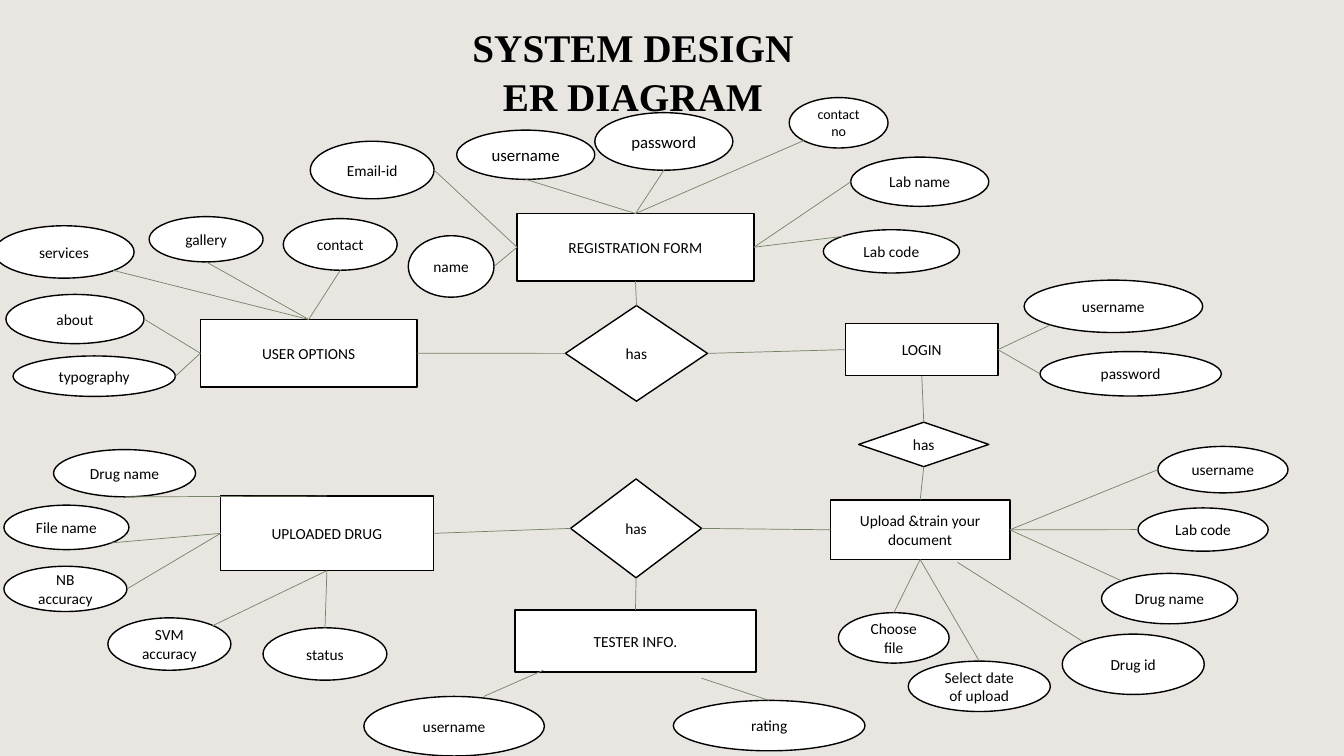
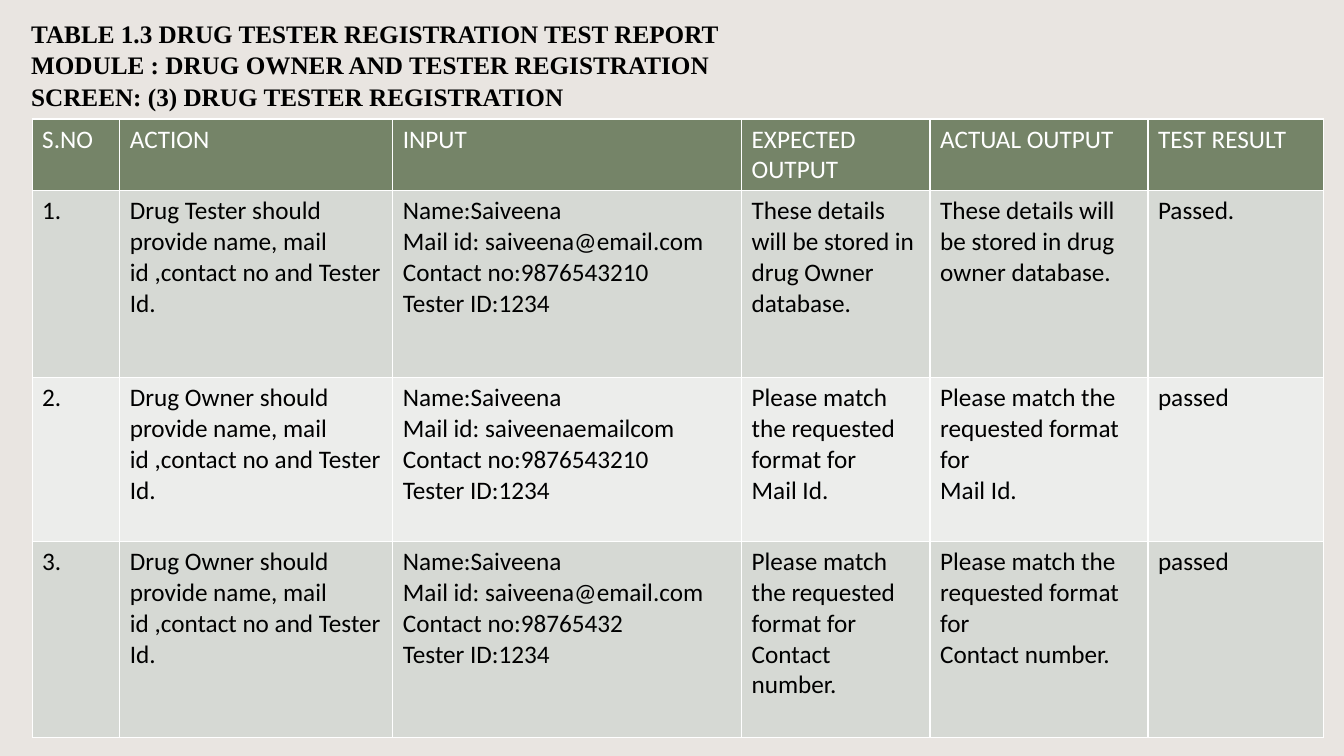
from lxml import etree
from pptx import Presentation, util as u
from pptx.dml.color import RGBColor
from pptx.enum import shapes, text
from pptx.oxml.ns import qn

TITLE_FONT, BODY_FONT = "Times New Roman", "Calibri"
PAPER, WHITE, BLACK, GREEN = "E9E5E1", "FFFFFF", "000000", "758468"
BANDS = ("D6D9D4", "ECEDEB")

RECT = shapes.MSO_SHAPE.RECTANGLE
OVAL = shapes.MSO_SHAPE.OVAL
DIAMOND = shapes.MSO_SHAPE.DIAMOND

# Connection sites as fractions of a shape's width and height
SITES = {
    "top": (0.5, 0), "left": (0, 0.5), "bottom": (0.5, 1), "right": (1, 0.5),
    "top left": (0.15, 0.15), "top right": (0.85, 0.15),
    "bottom left": (0.15, 0.85), "bottom right": (0.85, 0.85),
}
GLUE_SITES = ("top", "left", "bottom", "right")

# Entity: box in cm, then attributes as
# label, box in cm, text size, site on the entity (None: unlinked), site on the attribute
ENTITIES = {
    "LOGIN": ((21.31, 8.15, 3.84, 1.32), [
        ("username", (25.81, 7.06, 4.5, 1.32), 11, "right", "bottom left"),
        ("password", (26.21, 8.86, 4.57, 1.12), 11, "right", "left"),
    ]),
    "USER OPTIONS": ((5.05, 8.05, 5.46, 1.7), [
        ("services", (-0.15, 5.69, 3.53, 1.32), 11, "top", "bottom right"),
        ("about", (0.15, 7.42, 3.48, 1.24), 11, "left", "right"),
        ("gallery", (3.76, 5.46, 2.87, 1.14), 11, "top", "bottom"),
        ("typography", (0.33, 8.97, 4.09, 1.02), 11, "left", "right"),
        ("contact", (7.14, 5.51, 2.87, 1.3), 11, "top", "bottom"),
    ]),
    "REGISTRATION FORM": ((13.03, 5.38, 5.97, 1.7), [
        ("Lab name", (21.44, 3.96, 3.48, 1.24), 11, "right", "left"),
        ("contact no", (19.89, 2.46, 2.49, 1.27), 10, "top", "bottom left"),
        ("password", (14.99, 2.84, 3.48, 1.45), 12, "top", "bottom"),
        ("username", (11.51, 3.28, 3.48, 1.24), 12, "top", "bottom"),
        ("name", (10.29, 5.94, 2.16, 1.55), 11, "left", "right"),
        ("Email-id", (7.82, 3.56, 3.12, 1.45), 11, "left", "right"),
        ("Lab code", (20.75, 5.79, 3.43, 1.09), 11, "right", "top left"),
    ]),
    "Upload &train your document": ((20.93, 12.6, 4.52, 1.5), [
        ("Drug id", (26.77, 15.98, 3.58, 1.52), 11, None, None),
        ("Select date of upload", (22.89, 16.66, 3.58, 1.27), 11, "bottom", "top"),
        ("Choose file", (21.13, 15.44, 2.79, 1.27), 11, "bottom", "top"),
        ("Drug name", (27.76, 14.45, 3.43, 1.27), 11, "right", "top left"),
        ("Lab code", (28.68, 12.8, 3.28, 1.09), 11, "right", "left"),
        ("username", (29.18, 11.25, 3.28, 1.17), 11, "right", "left"),
    ]),
    "UPLOADED DRUG": ((5.56, 12.5, 5.36, 1.88), [
        ("File name", (0.1, 12.73, 3.15, 1.12), 11, "left", "bottom right"),
        ("NB accuracy", (0.1, 14.27, 3.1, 1.14), 11, "left", "right"),
        ("SVM accuracy", (2.72, 15.57, 3.1, 1.32), 11, "bottom", "top right"),
        ("status", (6.63, 15.82, 3.12, 1.32), 11, "bottom", "top"),
        ("Drug name", (1.35, 11.33, 3.58, 1.19), 11, "top", "bottom"),
    ]),
    "TESTER INFO.": ((12.98, 15.37, 6.07, 1.57), [
        ("username", (9.17, 17.55, 4.55, 1.5), 11, None, None),
        ("rating", (16.97, 17.65, 4.83, 1.27), 11, None, None),
    ]),
}

# Relation: box in cm, then links as site on the relation, entity, site on the entity
RELATIONS = [
    ((14.25, 7.7, 3.58, 2.41), [
        ("right", "LOGIN", "left"),
        ("left", "USER OPTIONS", "right"),
        ("top", "REGISTRATION FORM", "bottom"),
    ]),
    ((21.64, 10.64, 3.28, 1.12), [
        ("top", "LOGIN", "bottom"),
        ("bottom", "Upload &train your document", "top"),
    ]),
    ((14.38, 12.07, 3.3, 2.49), [
        ("right", "Upload &train your document", "left"),
        ("left", "UPLOADED DRUG", "right"),
        ("bottom", "TESTER INFO.", "top"),
    ]),
]

# Links whose ends lie between connection sites: start and end in cm
LOOSE_LINKS = [
    ((24.13, 14.17), (27.31, 16.18)),
    ((12.19, 17.55), (13.69, 16.89)),
    ((17.68, 17.09), (19.38, 17.65)),
]

REPORT_TITLE = (
    "TABLE 1.3 DRUG TESTER REGISTRATION TEST REPORT\n"
    "MODULE : DRUG OWNER AND TESTER REGISTRATION\n"
    "SCREEN: (3) DRUG TESTER REGISTRATION"
)
ACTION = "Drug {} should provide name, mail id ,contact no and Tester Id."
INPUT = "Name:Saiveena\nMail id: {}\nContact no:{}\nTester ID:1234"
STORED = "These details will be stored in drug {} database."
MISMATCH = "Please match the requested format for\n{}"
REPORT_ROWS = [
    ["S.NO", "ACTION", "INPUT", "EXPECTED OUTPUT", "ACTUAL OUTPUT", "TEST RESULT"],
    ["1.", ACTION.format("Tester"), INPUT.format("saiveena@email.com", "9876543210"),
     STORED.format("Owner"), STORED.format("owner"), "Passed."],
    ["2.", ACTION.format("Owner"), INPUT.format("saiveenaemailcom", "9876543210"),
     MISMATCH.format("Mail Id."), MISMATCH.format("Mail Id."), "passed"],
    ["3.", ACTION.format("Owner"), INPUT.format("saiveena@email.com", "98765432"),
     MISMATCH.format("Contact number."), MISMATCH.format("Contact number."), "passed"],
]
COLUMN_WIDTHS = (2.21, 6.88, 8.79, 4.75, 5.49, 4.42)
ROW_HEIGHTS = (1.81, 4.71, 4.13, 4.94)


def color(value):
    return RGBColor.from_string(value)


def lengths(values):
    return [u.Cm(value) for value in values]


def site_point(shape, site):
    across, down = SITES[site]
    return (int(shape.left + across * shape.width),
            int(shape.top + down * shape.height))


class Deck:
    """Holds the presentation, its style and the slide being drawn."""

    def __init__(self):
        self.deck = Presentation()
        self.deck.slide_width, self.deck.slide_height = lengths((33.87, 19.05))
        fill = self.deck.slide_master.background.fill
        fill.solid()
        fill.fore_color.rgb = color(PAPER)
        self.page = None

    def add_page(self):
        self.page = self.deck.slides.add_slide(self.deck.slide_layouts[5])

    def set_text(self, frame, content, size, ink=BLACK, font=BODY_FONT, bold=False,
                 align=text.PP_ALIGN.LEFT, spacing=1.0):
        frame.text = content
        for para in frame.paragraphs:
            para.alignment = align
            para.line_spacing = spacing
            for span in para.runs:
                span.font.name = font
                span.font.size = u.Pt(size)
                span.font.bold = bold
                span.font.color.rgb = color(ink)

    def title(self, content, box, size, align):
        holder = self.page.shapes.title
        holder.left, holder.top, holder.width, holder.height = lengths(box)
        frame = holder.text_frame
        frame.word_wrap = True
        frame.auto_size = text.MSO_AUTO_SIZE.NONE
        frame.vertical_anchor = text.MSO_ANCHOR.TOP
        self.set_text(frame, content, size, font=TITLE_FONT, bold=True,
                      align=align, spacing=1.04)

    def node(self, kind, label, box, size=11):
        shape = self.page.shapes.add_shape(kind, *lengths(box))
        shape.shadow.inherit = False
        shape.fill.solid()
        shape.fill.fore_color.rgb = color(WHITE)
        shape.line.color.rgb = color(BLACK)
        shape.line.width = u.Pt(1)
        self.set_text(shape.text_frame, label, size, align=text.PP_ALIGN.CENTER)
        return shape

    def line(self, start, end):
        connector = self.page.shapes.add_connector(
            shapes.MSO_CONNECTOR.STRAIGHT, *start, *end)
        connector.line.color.rgb = color(GREEN)
        connector.line.width = u.Pt(0.5)
        etree.SubElement(connector._element.spPr, qn("a:effectLst"))
        return connector

    def link(self, first, first_site, second, second_site):
        """Join two nodes; ends on boxes and diamonds stay attached."""
        connector = self.line(site_point(first, first_site),
                              site_point(second, second_site))
        connector.begin_connect(first, GLUE_SITES.index(first_site))
        if second.auto_shape_type != OVAL:
            connector.end_connect(second, GLUE_SITES.index(second_site))

    def table(self, rows, left, top, widths, heights, size):
        box = lengths((left, top, sum(widths), sum(heights)))
        grid = self.page.shapes.add_table(len(rows), len(widths), *box).table
        for column, width in zip(grid.columns, widths):
            column.width = u.Cm(width)
        for number, (row, height, labels) in enumerate(zip(grid.rows, heights, rows)):
            row.height = u.Cm(height)
            shade, ink = (BANDS[(number - 1) % 2], BLACK) if number else (GREEN, WHITE)
            for cell, label in zip(row.cells, labels):
                cell.fill.solid()
                cell.fill.fore_color.rgb = color(shade)
                self.set_text(cell.text_frame, label, size, ink)


def draw_er_diagram(deck):
    deck.add_page()
    entities = {}
    for name, (box, attributes) in ENTITIES.items():
        entity = entities[name] = deck.node(RECT, name, box)
        for label, place, size, entity_site, attribute_site in attributes:
            attribute = deck.node(OVAL, label, place, size)
            if entity_site:
                deck.link(entity, entity_site, attribute, attribute_site)
    for box, links in RELATIONS:
        relation = deck.node(DIAMOND, "has", box)
        for relation_site, name, entity_site in links:
            deck.link(relation, relation_site, entities[name], entity_site)
    for start, end in LOOSE_LINKS:
        deck.line(lengths(start), lengths(end))
    deck.title("SYSTEM DESIGN\nER DIAGRAM", (2.82, 0.41, 26.26, 2.64), 28,
               text.PP_ALIGN.CENTER)


def draw_test_report(deck):
    deck.add_page()
    deck.table(REPORT_ROWS, 0.81, 3, COLUMN_WIDTHS, ROW_HEIGHTS, 18)
    deck.title(REPORT_TITLE, (0.53, 0.3, 19.1, 2.57), 18, text.PP_ALIGN.LEFT)


def main():
    deck = Deck()
    draw_er_diagram(deck)
    draw_test_report(deck)
    deck.deck.save("out.pptx")


if __name__ == "__main__":
    main()
